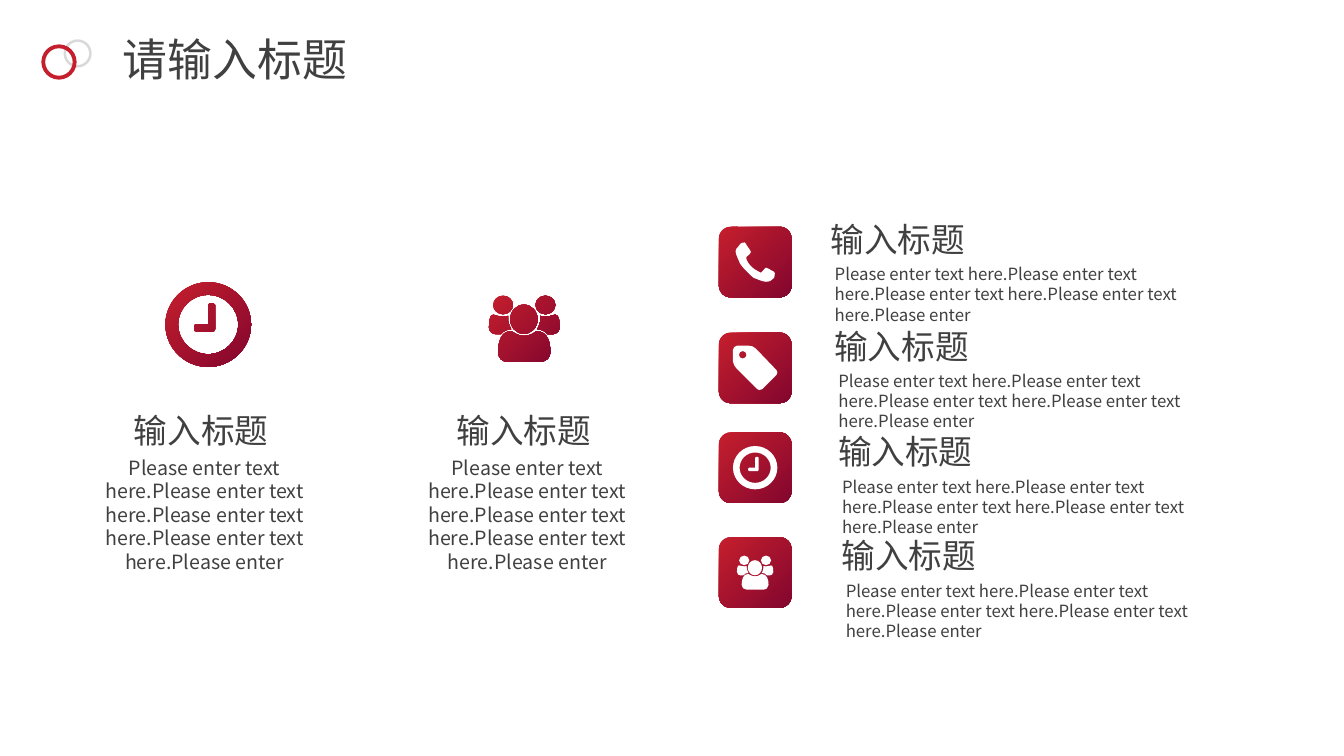
from dataclasses import dataclass

from lxml import etree
from pptx import Presentation
from pptx import util as u
from pptx.dml.color import RGBColor
from pptx.enum import shapes, text
from pptx.oxml import ns


@dataclass(frozen=True)
class Theme:
    font: str = "Noto Sans CJK SC"
    ink: str = "404040"
    red: str = "C51F2D"
    wine: str = "83062E"
    grey: str = "D9D9D9"
    white: str = "FFFFFF"
    title: int = 32
    heading: int = 24
    body: int = 14
    small: int = 12


# Icon outlines live on a 100 by 100 grid: a start point, then
# lines (x, y) and cubic curves (x1, y1, x2, y2, x, y)
def circle(cx, cy, rx, ry=None):
    ry = ry or rx
    kx, ky = 0.55 * rx, 0.55 * ry
    left, top, right, bottom = cx - rx, cy - ry, cx + rx, cy + ry
    return [(cx, top),
            (cx + kx, top, right, cy - ky, right, cy),
            (right, cy + ky, cx + kx, bottom, cx, bottom),
            (cx - kx, bottom, left, cy + ky, left, cy),
            (left, cy - ky, cx - kx, top, cx, top)]


def mirrored(outline):
    return [tuple(value if place % 2 else 100 - value for place, value in enumerate(segment))
            for segment in outline]


PHONE = [[
    (98, 90), (95, 92, 92, 95, 90, 97), (86, 100, 81, 100, 77, 100),
    (71, 100, 64, 97, 59, 95), (54, 92, 50, 92, 46, 90), (36, 82, 21, 67, 13, 56),
    (10, 51, 8, 46, 7, 43), (5, 36, 0, 31, 0, 23), (0, 18, 3, 15, 6, 12),
    (8, 8, 10, 5, 13, 3), (15, 1, 20, 0, 23, 0), (25, 1, 27, 4, 29, 8),
    (31, 11, 33, 14, 36, 18), (38, 21, 39, 22, 39, 24), (39, 30, 27, 35, 27, 39),
    (27, 41, 28, 43, 29, 46), (36, 59, 44, 67, 59, 74), (61, 76, 62, 77, 64, 77),
    (67, 77, 75, 64, 78, 64), (82, 64, 84, 66, 86, 68), (89, 70, 93, 72, 97, 74),
    (99, 75, 100, 76, 100, 78), (100, 83, 99, 87, 98, 90)]]

TAG = [
    [(98, 66), (66, 98), (64, 100, 62, 100, 59, 100), (57, 100, 56, 100, 55, 98),
     (7, 50), (5, 48, 0, 41, 0, 36), (0, 9), (0, 5, 5, 0, 9, 0), (36, 0),
     (41, 0, 48, 2, 52, 7), (98, 55), (100, 56, 100, 57, 100, 60),
     (100, 62, 100, 64, 98, 66)],
    circle(22, 20.5, 8.5)]

CLOCK = [
    circle(50, 50, 50), circle(50, 50, 35),
    [(58, 55), (58, 57, 58, 58, 56, 58), (36, 58), (34, 58, 34, 58, 34, 55),
     (34, 53), (34, 50, 34, 50, 36, 50), (50, 50), (50, 27),
     (50, 26, 51, 25, 53, 25), (56, 25), (57, 25, 58, 26, 58, 27)]]

ARM = [
    (17, 58.5), (10, 58.5), (6, 58.5, 0, 55, 0, 49), (0, 43, 0, 29, 6, 29),
    (7, 29, 13, 32, 20, 32), (23, 32, 24, 32, 27, 31), (27, 32, 27, 34, 27, 35.5),
    (27, 40, 29, 46, 31.5, 51), (26, 51, 20, 54, 17, 58.5)]
TORSO = [
    (71, 100), (27, 100), (18.5, 100, 13, 94, 13, 86), (13, 72, 16, 54, 31, 54),
    (34, 54, 39, 61, 50, 61), (60, 61, 67, 54, 67, 54), (84, 54, 87, 72, 87, 86),
    (87, 94, 81, 100, 71, 100)]
PEOPLE = [ARM, mirrored(ARM), TORSO,
          circle(20, 14.5, 14), circle(80, 14.5, 14), circle(49.5, 36, 19.5, 22)]


class SlideBuilder:
    def __init__(self, slide, theme):
        self.slide = slide
        self.theme = theme

    def paint(self, shape, color=None):
        """Fill with one colour, or with the red gradient when none is given."""
        shape.shadow.inherit = False
        shape.line.fill.background()
        if color:
            shape.fill.solid()
            shape.fill.fore_color.rgb = RGBColor.from_string(color)
            return
        shape.fill.gradient()
        shape.fill.gradient_angle = 315
        for stop, shade in zip(shape.fill.gradient_stops, (self.theme.red, self.theme.wine)):
            stop.color.rgb = RGBColor.from_string(shade)

    def preset(self, kind, box, color=None, adjust=None):
        shape = self.slide.shapes.add_shape(kind, *map(u.Inches, box))
        if adjust is not None:
            shape.adjustments[0] = adjust
        self.paint(shape, color)

    def icon(self, outlines, box, color=None):
        left, top, width, height = box

        def placed(segment):
            return [(u.Inches(left + x * width / 100), u.Inches(top + y * height / 100))
                    for x, y in zip(segment[::2], segment[1::2])]

        builder = self.slide.shapes.build_freeform(*placed(outlines[0][0])[0])
        for order, (start, *segments) in enumerate(outlines):
            if order:
                builder.move_to(*placed(start)[0])
            builder.add_line_segments([point for part in segments for point in placed(part)])
        shape = builder.convert_to_shape()
        # Merge the three points of each curve into one cubic segment
        steps = iter(list(shape._element.iter(ns.qn("a:lnTo"))))
        for outline in outlines:
            for segment in outline[1:]:
                nodes = [next(steps) for _ in segment[::2]]
                if len(nodes) == 3:
                    curve = etree.Element(ns.qn("a:cubicBezTo"))
                    nodes[0].addprevious(curve)
                    for node in nodes:
                        curve.append(node[0])
                        node.getparent().remove(node)
        self.paint(shape, color)

    def label(self, words, box, size, centred=False, wrap=True, inset=0.1):
        frame = self.slide.shapes.add_textbox(*map(u.Inches, box)).text_frame
        frame.word_wrap = wrap
        frame.margin_left = frame.margin_right = u.Inches(inset)
        paragraph = frame.paragraphs[0]
        paragraph.alignment = text.PP_ALIGN.CENTER if centred else text.PP_ALIGN.LEFT
        run = paragraph.add_run()
        run.text = words
        run.font.name = self.theme.font
        run.font.size = u.Pt(size)
        run.font.color.rgb = RGBColor.from_string(self.theme.ink)
        # Chinese glyphs take their face from a:ea
        east_asian = etree.SubElement(run.font._element, ns.qn("a:ea"))
        east_asian.set("typeface", self.theme.font)


HEADING = "输入标题"
BODY_TEXT = "Please enter text " + "here.Please enter text " * 3 + "here.Please enter"


def main():
    deck = Presentation()
    deck.slide_width, deck.slide_height = u.Inches(13.33), u.Inches(7.5)
    theme = Theme()
    page = SlideBuilder(deck.slides.add_slide(deck.slide_layouts[6]), theme)
    kinds = shapes.MSO_SHAPE

    # Title with its two rings
    page.preset(kinds.DONUT, (0.63, 0.39, 0.28, 0.28), theme.grey, 0.09)
    page.preset(kinds.DONUT, (0.41, 0.44, 0.35, 0.35), theme.red, 0.11)
    page.label("请输入标题", (1.12, 0.27, 2.45, 0.64), theme.title, wrap=False)

    # Right list: tile, icon, heading and text in each row
    rows = [
        (2.25, 2.12, PHONE, 0.39, 0.39),
        (3.30, 3.18, TAG, 0.44, 0.44),
        (4.29, 4.23, CLOCK, 0.44, 0.43),
        (5.33, 5.26, PEOPLE, 0.36, 0.34)]
    tile_left, tile_width, tile_height = 7.13, 0.72, 0.7
    for index, (tile_top, text_top, symbol, width, height) in enumerate(rows):
        page.preset(kinds.ROUNDED_RECTANGLE, (tile_left, tile_top, tile_width, tile_height))
        page.icon(symbol, (tile_left + (tile_width - width) / 2,
                           tile_top + (tile_height - height) / 2, width, height), theme.white)
        text_left = 8.14 + 0.11 * index / 3
        page.label(BODY_TEXT, (text_left + 0.04, text_top + 0.45, 4.05, 0.5), theme.small)
        page.label(HEADING, (text_left, text_top, 4.05, 0.5), theme.heading)

    # Left columns: large icon above centred text
    columns = [
        (0.63, CLOCK, (1.64, 2.8, 0.85, 0.84)),
        (3.83, PEOPLE, (4.85, 2.93, 0.7, 0.66))]
    for left, symbol, icon_box in columns:
        page.icon(symbol, icon_box)
        page.label(BODY_TEXT, (left, 4.47, 2.8, 1.04), theme.body, centred=True, inset=0.2)
        page.label(HEADING, (left + 0.39, 4.02, 1.95, 0.5), theme.heading, centred=True)

    deck.save("out.pptx")


if __name__ == "__main__":
    main()
